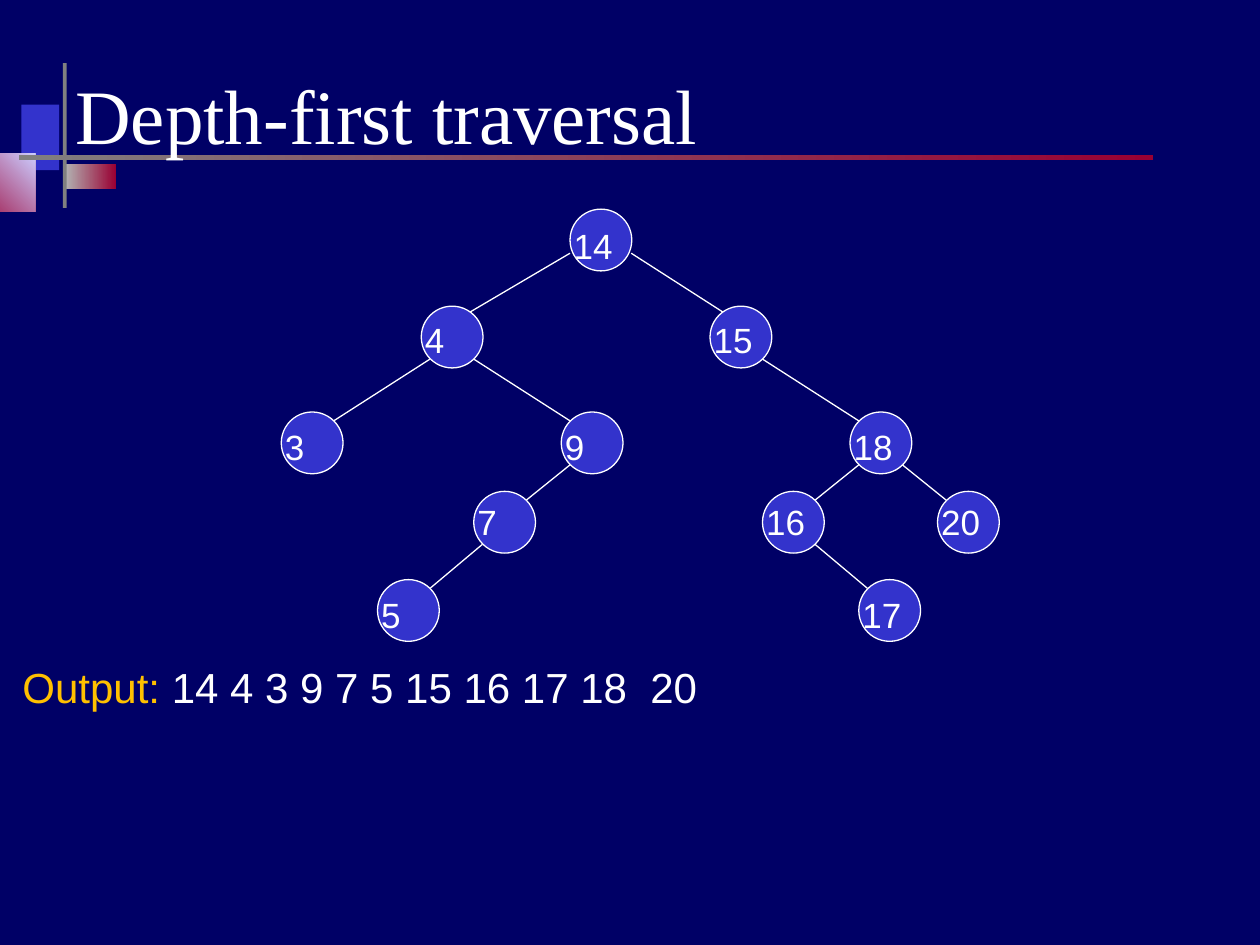
from dataclasses import dataclass
from typing import NamedTuple

from lxml import etree
from pptx import Presentation
from pptx import util as u
from pptx.dml.color import RGBColor
from pptx.enum import shapes, text
from pptx.oxml import ns


@dataclass(frozen=True)
class Theme:
    background: str = "000066"
    accent: str = "3333CC"
    white: str = "FFFFFF"
    amber: str = "FFC000"
    grey: str = "808080"
    silver: str = "B2B2B2"
    crimson: str = "990033"
    lilac: str = "CCCCFF"
    title_font: str = "Times New Roman"
    body_font: str = "Arial"
    title_size: int = 44
    output_size: int = 24
    node_size: int = 20
    line_width: float = 0.75


class Area(NamedTuple):
    left: float
    top: float
    width: float
    height: float


class Ornament(NamedTuple):
    area: Area
    colors: tuple[str, ...]
    angle: int = 0


class Span(NamedTuple):
    words: str
    color: str


class Node(NamedTuple):
    value: int
    column: int
    level: int
    parent: int | None = None


class Level(NamedTuple):
    row: int
    label_drop: float


THEME = Theme()
WIDTH, HEIGHT = 10, 7.5

# Tree grid: a node is seven cells wide
COLUMN, ROW = WIDTH / 144, 0.07
TREE_LEFT, TREE_TOP = 0.01, 1.66
NODE_CELLS = 7
DIAMETER = 0.49

LEVELS = (Level(0, 0.07), Level(11, 0.05), Level(23, 0.06),
          Level(32, 0.02), Level(42, 0.06))

NODES = (
    Node(14, 65, 0),
    Node(4, 48, 1, 14), Node(15, 81, 1, 14),
    Node(3, 32, 2, 4), Node(9, 64, 2, 4), Node(18, 97, 2, 15),
    Node(7, 54, 3, 9), Node(16, 87, 3, 18), Node(20, 107, 3, 18),
    Node(5, 43, 4, 7), Node(17, 98, 4, 16),
)

ORNAMENTS = (
    Ornament(Area(0.17, 0.83, 0.3, 0.52), (THEME.accent,)),
    Ornament(Area(0.52, 1.3, 0.4, 0.2), (THEME.silver, THEME.crimson)),
    Ornament(Area(-0.33, 1.22, 0.61, 0.46), (THEME.crimson, THEME.lilac), 45),
    Ornament(Area(0.5, 0.5, 0.03, 1.15), (THEME.grey,)),
    Ornament(Area(0.15, 1.23, 9, 0.04), (THEME.grey, THEME.crimson)),
)


def rgb(color: str) -> RGBColor:
    return RGBColor.from_string(color)


def inches(values) -> list[u.Length]:
    return [u.Inches(value) for value in values]


def add_ornament(page, ornament: Ornament) -> None:
    shape = page.shapes.add_shape(shapes.MSO_SHAPE.RECTANGLE, *inches(ornament.area))
    shape.shadow.inherit = False
    shape.line.fill.background()
    if len(ornament.colors) == 1:
        shape.fill.solid()
        shape.fill.fore_color.rgb = rgb(ornament.colors[0])
    else:
        shape.fill.gradient()
        shape.fill.gradient_angle = ornament.angle
        for stop, color in zip(shape.fill.gradient_stops, ornament.colors):
            stop.color.rgb = rgb(color)


def add_text(page, area: Area, spans: list[Span], font: str, size: int,
             anchor=text.MSO_ANCHOR.TOP):
    box = page.shapes.add_textbox(*inches(area))
    frame = box.text_frame
    frame.word_wrap = True
    frame.vertical_anchor = anchor
    para = frame.paragraphs[0]
    for part in spans:
        span = para.add_run()
        span.text = part.words
        span.font.name = font
        span.font.size = u.Pt(size)
        span.font.color.rgb = rgb(part.color)
    return box


def tree_point(column: float, row: float) -> tuple[float, float]:
    return TREE_LEFT + column * COLUMN, TREE_TOP + row * ROW


def add_edge(page, parent: Node, child: Node) -> None:
    side = 1 if child.column > parent.column else -1
    near, far = 1, NODE_CELLS - 1
    start, end = (far, near) if side > 0 else (near, far)
    lift = 0
    # The edges of the root sit one cell further out and higher
    if parent.parent is None:
        start, end, lift = start + side, end + 1 * side, 1
    begin = tree_point(parent.column + start, LEVELS[parent.level].row + far - lift)
    finish = tree_point(child.column + end, LEVELS[child.level].row + near)
    edge = page.shapes.add_connector(shapes.MSO_CONNECTOR.STRAIGHT,
                                     *inches(begin + finish))
    edge.line.color.rgb = rgb(THEME.white)
    edge.line.width = u.Pt(THEME.line_width)
    etree.SubElement(edge._element.spPr, ns.qn("a:effectLst"))


def add_node(page, node: Node) -> None:
    level = LEVELS[node.level]
    left, top = tree_point(node.column, level.row)
    circle = page.shapes.add_shape(shapes.MSO_SHAPE.OVAL,
                                   *inches((left, top, DIAMETER, DIAMETER)))
    circle.shadow.inherit = False
    circle.fill.solid()
    circle.fill.fore_color.rgb = rgb(THEME.accent)
    circle.line.color.rgb = rgb(THEME.white)
    circle.line.width = u.Pt(THEME.line_width)
    label = add_text(page, Area(left - COLUMN, top + level.label_drop, 0.63, 0.44),
                     [Span(str(node.value), THEME.white)],
                     THEME.body_font, THEME.node_size)
    label.text_frame.auto_size = text.MSO_AUTO_SIZE.SHAPE_TO_FIT_TEXT


def main() -> None:
    deck = Presentation()
    deck.slide_width, deck.slide_height = inches((WIDTH, HEIGHT))
    page = deck.slides.add_slide(deck.slide_layouts[6])
    page.background.fill.solid()
    page.background.fill.fore_color.rgb = rgb(THEME.background)

    # Corner decoration and title
    for ornament in ORNAMENTS:
        add_ornament(page, ornament)
    add_text(page, Area(0.5, 0.4, 9, 1), [Span("Depth-first traversal", THEME.white)],
             THEME.title_font, THEME.title_size, text.MSO_ANCHOR.MIDDLE)

    # Traversal output with a hanging indent
    output = add_text(page, Area(0.08, 5.2, 9.75, 2.13),
                      [Span("Output: ", THEME.amber),
                       Span("14 4 3 9 7 5 15 16 17 18  20", THEME.white)],
                      THEME.body_font, THEME.output_size)
    properties = output.text_frame.paragraphs[0]._p.get_or_add_pPr()
    properties.set("marL", str(u.Inches(0.38)))
    properties.set("indent", str(-u.Inches(0.38)))

    # Binary tree: edges below nodes
    by_value = {node.value: node for node in NODES}
    for node in NODES:
        if node.parent is not None:
            add_edge(page, by_value[node.parent], node)
    for node in NODES:
        add_node(page, node)

    deck.save("out.pptx")


if __name__ == "__main__":
    main()
